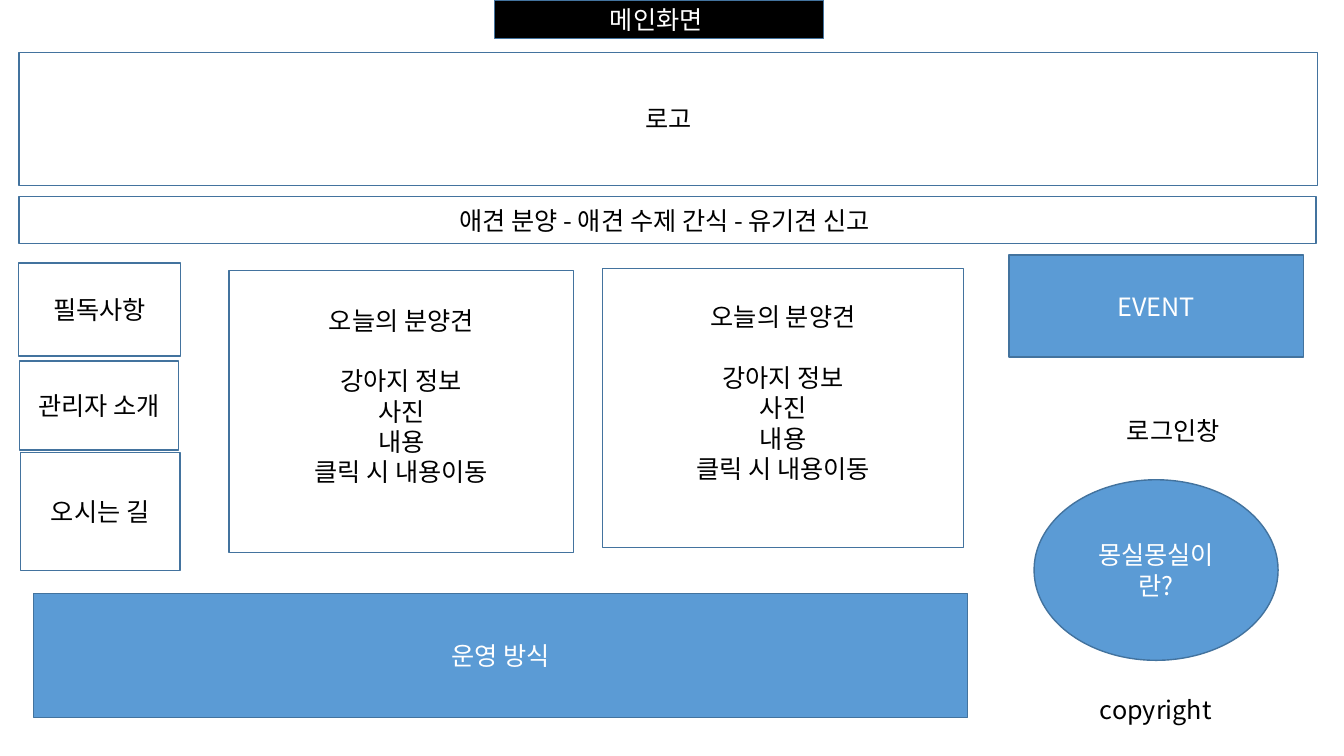
from dataclasses import dataclass
from typing import NamedTuple

from lxml.etree import SubElement
from pptx import Presentation
from pptx.dml.color import RGBColor
from pptx.enum.shapes import MSO_SHAPE as Preset
from pptx.enum.text import MSO_ANCHOR as Anchor, PP_ALIGN as Align
from pptx.oxml.ns import qn
from pptx.util import Cm, Pt


@dataclass(frozen=True)
class Theme:
    """Colours, type and line sizes of the slide."""
    font: str = "Noto Sans CJK KR"
    size: float = 18
    text_line: float = 21.7
    outline: float = 1
    white: str = "FFFFFF"
    black: str = "000000"
    blue: str = "5B9BD5"
    border: str = "43739E"


class Box(NamedTuple):
    """A rectangle in centimetres."""
    left: float
    top: float
    width: float
    height: float

    def inner(self, left, top, width, height):
        """Return a box placed relative to this one."""
        return Box(self.left + left, self.top + top, width, height)

    def lengths(self):
        """Return the four sides as slide lengths."""
        return [Cm(value) for value in self]


THEME = Theme()


def write(frame, text, color=THEME.black, gap_after_first=0, bottom=0.13,
          side=0.25):
    """Fill a text frame with centred lines in the theme font."""
    frame.word_wrap = True
    frame.vertical_anchor = Anchor.MIDDLE
    frame.margin_bottom = Cm(bottom)
    frame.margin_left = frame.margin_right = Cm(side)
    for index, line in enumerate(text.split("\n")):
        para = frame.add_paragraph() if index else frame.paragraphs[0]
        para.alignment = Align.CENTER
        if index == 0:
            para.space_after = Pt(gap_after_first)
        span = para.add_run()
        span.text = line
        span.font.size = Pt(THEME.size)
        span.font.color.rgb = RGBColor.from_string(color)
        span.font.name = THEME.font
        SubElement(span.font._element, qn("a:ea"), typeface=THEME.font)


def add_panel(page, box, text, fill=THEME.white, color=THEME.black,
              preset=Preset.RECTANGLE, **format):
    """Draw an outlined shape holding text."""
    panel = page.shapes.add_shape(preset, *box.lengths())
    panel.shadow.inherit = False
    panel.fill.solid()
    panel.fill.fore_color.rgb = RGBColor.from_string(fill)
    panel.line.color.rgb = RGBColor.from_string(THEME.border)
    panel.line.width = Pt(THEME.outline)
    write(panel.text_frame, text, color, **format)


def add_label(page, box, text):
    """Place unframed text."""
    write(page.shapes.add_textbox(*box.lengths()).text_frame, text)


def add_header(page, box):
    """Place the page title, logo area and navigation bar."""
    add_panel(page, box.inner(0, 1.32, box.width, 3.35), "로고")
    add_panel(page, box.inner(0, 4.95, box.width - 0.03, 1.19),
              "애견 분양 - 애견 수제 간식 - 유기견 신고 ")
    add_panel(page, box.inner(11.99, 0, 8.28, 0.97), "메인화면 ",
              fill=THEME.black, color=THEME.white)


def add_menu(page, box):
    """Place the side menu buttons."""
    buttons = [("필독사항", 0, 0, 4.09, 2.34),
               ("관리자 소개", 0.03, 2.47, 4.01, 2.24),
               ("오시는 길", 0.05, 4.77, 4.03, 2.97)]
    for text, *place in buttons:
        add_panel(page, box.inner(*place), text)


def add_cards(page, box):
    """Place the two cards for today's dogs."""
    text = "오늘의 분양견\n강아지 정보\n사진\n내용\n클릭 시 내용이동"
    for place in [(0, 0.05, 8.69, 7.11), (9.42, 0, 9.09, 7.04)]:
        add_panel(page, box.inner(*place), text,
                  gap_after_first=THEME.text_line, bottom=0.9)


def add_sidebar(page, box):
    """Place the event, login, introduction and copyright parts."""
    accent = dict(fill=THEME.blue, color=THEME.white)
    add_panel(page, box.inner(0, 0, 7.42, 2.57), "EVENT", **accent)
    add_label(page, box.inner(0.61, 3.91, 7.06, 1), "로그인창")
    add_panel(page, box.inner(0.63, 5.66, 6.15, 4.55), "몽실몽실이란?",
              preset=Preset.OVAL, side=0.5, **accent)
    add_label(page, box.inner(0.17, 10.94, 7.06, 1), "copyright")


def add_footer(page, box):
    """Place the operations bar."""
    add_panel(page, box, "운영 방식", fill=THEME.blue, color=THEME.white)


def main():
    """Build and save the deck."""
    deck = Presentation()
    deck.slide_width, deck.slide_height = Cm(33.87), Cm(19.05)
    page = deck.slides.add_slide(deck.slide_layouts[6])
    add_header(page, Box(0.48, 0, 32.72, 6.14))
    add_menu(page, Box(0.46, 6.63, 4.09, 7.74))
    add_cards(page, Box(5.77, 6.76, 18.51, 7.16))
    add_sidebar(page, Box(25.43, 6.43, 7.67, 11.94))
    add_footer(page, Box(0.84, 14.96, 23.55, 3.12))
    deck.save("out.pptx")


main()
